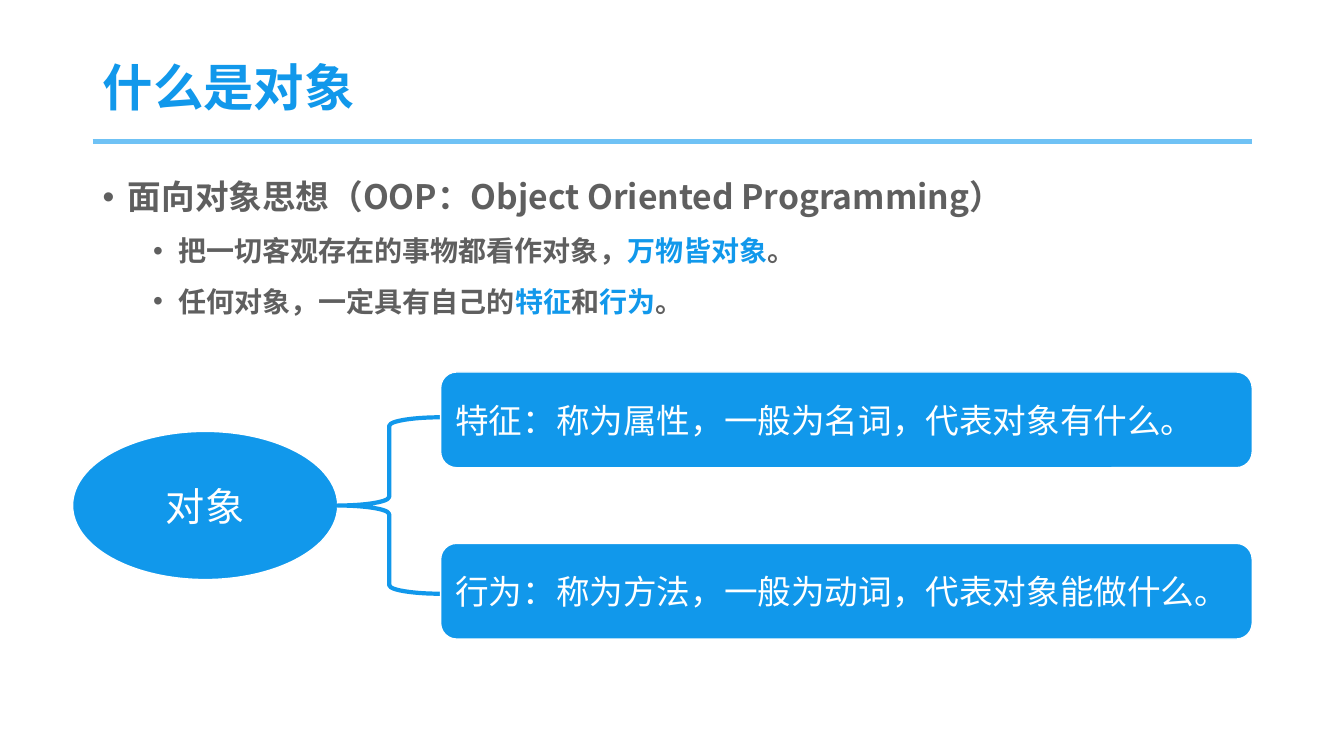
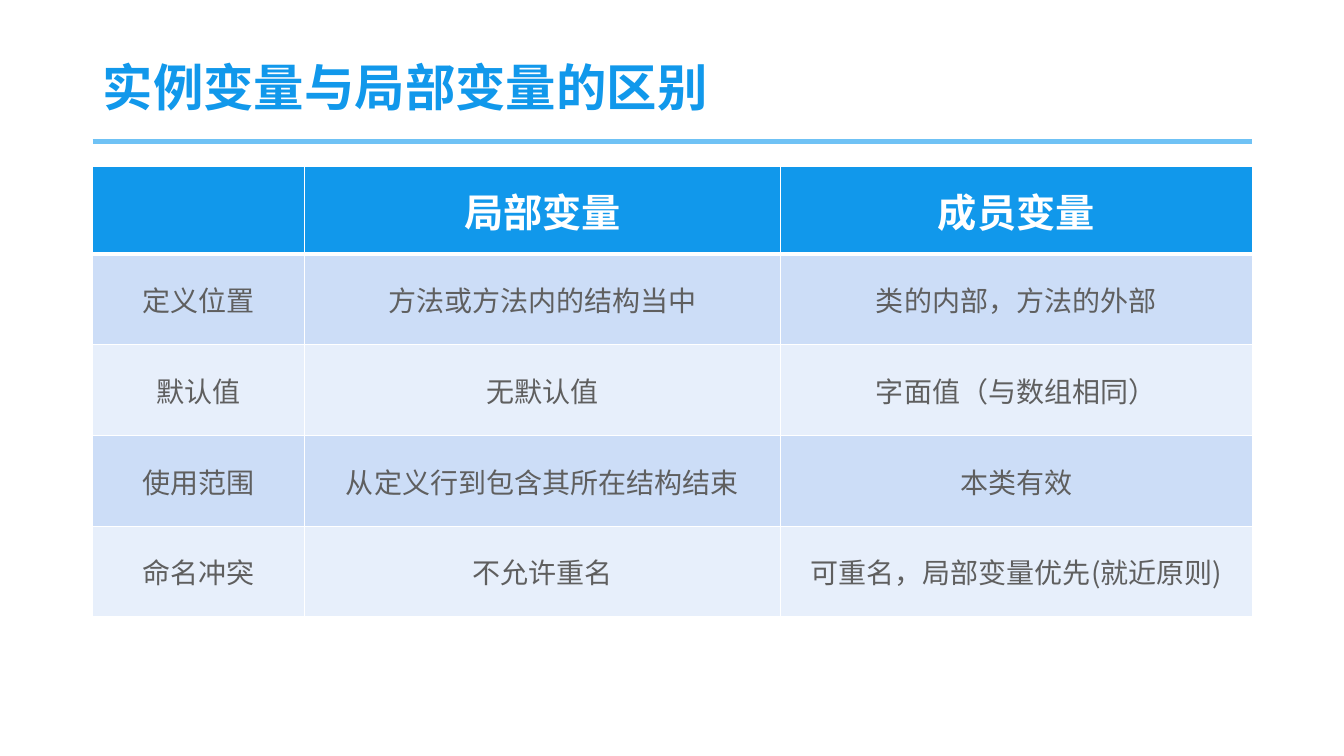
"""Build two slides on objects and on instance versus local variables."""
import pptx
import pptx.dml.color
import pptx.enum.lang
import pptx.enum.shapes
import pptx.enum.text
import pptx.oxml.ns
import pptx.util
from lxml import etree

Inches = pptx.util.Inches
Pt = pptx.util.Pt
RGBColor = pptx.dml.color.RGBColor
Preset = pptx.enum.shapes.MSO_SHAPE
Align = pptx.enum.text.PP_ALIGN
Anchor = pptx.enum.text.MSO_ANCHOR
qn = pptx.oxml.ns.qn

BLUE = RGBColor(0x11, 0x98, 0xEB)
RULE_BLUE = RGBColor(0x6F, 0xC2, 0xF5)
GREY = RGBColor(0x5F, 0x5F, 0x5F)
WHITE = RGBColor(0xFF, 0xFF, 0xFF)
BANDS = (RGBColor(0xCC, 0xDD, 0xF7), RGBColor(0xE7, 0xEF, 0xFB))
FONT = "Noto Sans CJK SC"
LEFT, CONTENT_WIDTH = 0.92, 11.5

OBJECT_TITLE = "什么是对象"
BULLETS = [
    (0, [("面向对象思想（OOP：Object Oriented Programming）", GREY)]),
    (1, [("把一切客观存在的事物都看作对象，", GREY), ("万物皆对象", BLUE), ("。", GREY)]),
    (1, [("任何对象，一定具有自己的", GREY), ("特征", BLUE), ("和", GREY),
         ("行为", BLUE), ("。", GREY)]),
]
BULLET_LEVELS = [
    {"indent": 0.25, "size": 24, "before": 10},
    {"indent": 0.75, "size": 20, "before": 5},
]
OBJECT_LABEL = "对象"
OBJECT_PARTS = [
    "特征：称为属性，一般为名词，代表对象有什么。",
    "行为：称为方法，一般为动词，代表对象能做什么。",
]
PART_TOP, PART_STEP = 3.69, 1.7

VARIABLE_TITLE = "实例变量与局部变量的区别"
VARIABLE_TABLE = [
    ("", "局部变量", "成员变量"),
    ("定义位置", "方法或方法内的结构当中", "类的内部，方法的外部"),
    ("默认值", "无默认值", "字面值（与数组相同）"),
    ("使用范围", "从定义行到包含其所在结构结束", "本类有效"),
    ("命名冲突", "不允许重名", "可重名，局部变量优先(就近原则)"),
]
COLUMN_WIDTHS = (2.1, 4.72, 4.68)
HEADER_HEIGHT, ROW_HEIGHT = 0.87, 0.9


def box(left, top, width, height):
    return [Inches(value) for value in (left, top, width, height)]


def add_run(paragraph, text, size, color, bold=False, font_name=FONT):
    run = paragraph.add_run()
    run.text = text
    font = run.font
    font.size, font.bold, font.name = Pt(size), bold, font_name
    font.color.rgb = color
    font.language_id = pptx.enum.lang.MSO_LANGUAGE_ID.SIMPLIFIED_CHINESE
    etree.SubElement(run._r.get_or_add_rPr(), qn("a:ea"), typeface=font_name)


def add_text_box(slide, place, anchor):
    frame = slide.shapes.add_textbox(*box(*place)).text_frame
    frame.word_wrap = True
    frame.vertical_anchor = anchor
    return frame


def add_titled_slide(presentation, title):
    slide = presentation.slides.add_slide(presentation.slide_layouts[6])
    rule = slide.shapes.add_connector(
        pptx.enum.shapes.MSO_CONNECTOR.STRAIGHT,
        *box(LEFT, 1.4, LEFT + CONTENT_WIDTH, 1.4))
    rule.line.color.rgb = RULE_BLUE
    rule.line.width = Pt(3.5)
    etree.SubElement(rule._element.spPr, qn("a:effectLst"))
    frame = add_text_box(slide, (LEFT, 0.4, CONTENT_WIDTH, 1), Anchor.MIDDLE)
    paragraph = frame.paragraphs[0]
    paragraph.line_spacing = 0.9
    add_run(paragraph, title, 36, BLUE, bold=True)
    return slide


def add_bullets(slide):
    frame = add_text_box(slide, (LEFT, 1.58, CONTENT_WIDTH, 5.18), Anchor.TOP)
    for index, (level, pieces) in enumerate(BULLETS):
        paragraph = frame.add_paragraph() if index else frame.paragraphs[0]
        style = BULLET_LEVELS[level]
        paragraph.level = level
        paragraph.line_spacing = 1.3
        paragraph.space_before = Pt(style["before"])
        properties = paragraph._p.get_or_add_pPr()
        properties.set("marL", str(Inches(style["indent"])))
        properties.set("indent", str(Inches(-0.25)))
        etree.SubElement(properties, qn("a:buFont"), typeface="Arial")
        etree.SubElement(properties, qn("a:buChar"), char="•")
        for text, color in pieces:
            add_run(paragraph, text, style["size"], color, bold=True)


def add_outlined_shape(shapes, preset, place, line_color, line_width):
    shape = shapes.add_shape(preset, *box(*place))
    shape.shadow.inherit = False
    shape.line.color.rgb = line_color
    shape.line.width = Pt(line_width)
    return shape


def add_blue_shape(shapes, preset, place, text, size, alignment, font_name=FONT):
    shape = add_outlined_shape(shapes, preset, place, WHITE, 1)
    shape.fill.solid()
    shape.fill.fore_color.rgb = BLUE
    frame = shape.text_frame
    frame.word_wrap = True
    frame.vertical_anchor = Anchor.MIDDLE
    paragraph = frame.paragraphs[0]
    paragraph.alignment = alignment
    add_run(paragraph, text, size, WHITE, font_name=font_name)


def add_object_diagram(slide):
    group = slide.shapes.add_group_shape()
    add_blue_shape(group.shapes, Preset.OVAL, (0.72, 4.28, 2.63, 1.47),
                   OBJECT_LABEL, 28, Align.CENTER, "Arial")
    brace = add_outlined_shape(group.shapes, Preset.LEFT_BRACE,
                               (3.35, 4.14, 1.02, 1.75), BLUE, 3)
    brace.fill.background()
    for index, text in enumerate(OBJECT_PARTS):
        place = (4.37, PART_TOP + index * PART_STEP, 8.05, 0.95)
        add_blue_shape(slide.shapes, Preset.ROUNDED_RECTANGLE, place, text, 24, Align.LEFT)


def set_borders(cell, top, bottom):
    properties = cell._tc.get_or_add_tcPr()
    for side, width in (("L", 1), ("R", 1), ("T", top), ("B", bottom)):
        line = etree.SubElement(properties, qn(f"a:ln{side}"), w=str(Pt(width)))
        fill = etree.SubElement(line, qn("a:solidFill"))
        etree.SubElement(fill, qn("a:srgbClr"), val=str(WHITE))


def add_variable_table(slide):
    heights = [HEADER_HEIGHT] + [ROW_HEIGHT] * (len(VARIABLE_TABLE) - 1)
    table = slide.shapes.add_table(
        len(heights), len(COLUMN_WIDTHS),
        *box(LEFT, 1.65, sum(COLUMN_WIDTHS), sum(heights))).table
    for column, width in zip(table.columns, COLUMN_WIDTHS):
        column.width = Inches(width)
    for row_index, texts in enumerate(VARIABLE_TABLE):
        table.rows[row_index].height = Inches(heights[row_index])
        header = row_index == 0
        fill_color = BLUE if header else BANDS[(row_index - 1) % 2]
        size, color = (28, WHITE) if header else (20, GREY)
        for column_index, text in enumerate(texts):
            cell = table.cell(row_index, column_index)
            set_borders(cell, 3 if row_index == 1 else 1, 3 if header else 1)
            cell.fill.solid()
            cell.fill.fore_color.rgb = fill_color
            cell.vertical_anchor = Anchor.MIDDLE
            cell.margin_left = cell.margin_right = 0
            cell.margin_top = cell.margin_bottom = 0
            if text:
                paragraph = cell.text_frame.paragraphs[0]
                paragraph.alignment = Align.CENTER
                add_run(paragraph, text, size, color, bold=header)


def main():
    presentation = pptx.Presentation()
    presentation.slide_width = Inches(13.33)
    presentation.slide_height = Inches(7.5)
    object_slide = add_titled_slide(presentation, OBJECT_TITLE)
    add_bullets(object_slide)
    add_object_diagram(object_slide)
    variable_slide = add_titled_slide(presentation, VARIABLE_TITLE)
    add_variable_table(variable_slide)
    presentation.save("out.pptx")


if __name__ == "__main__":
    main()
